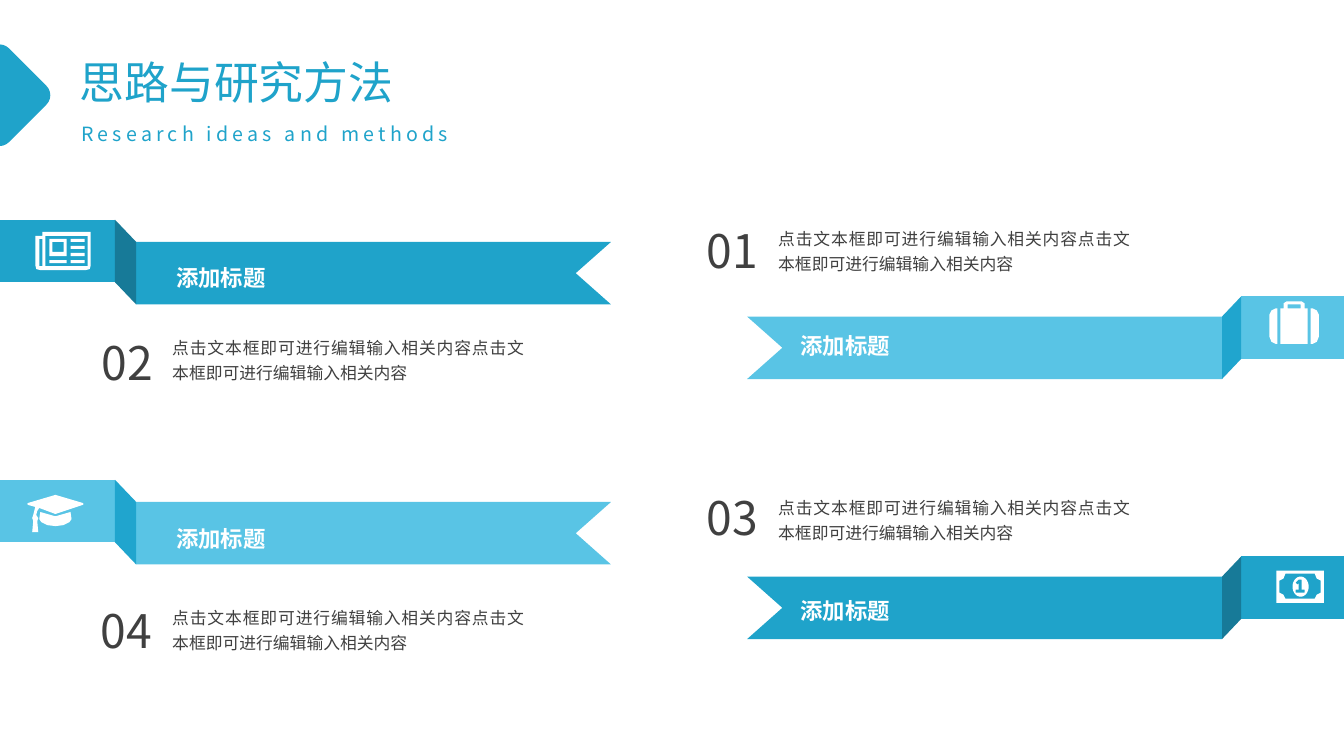
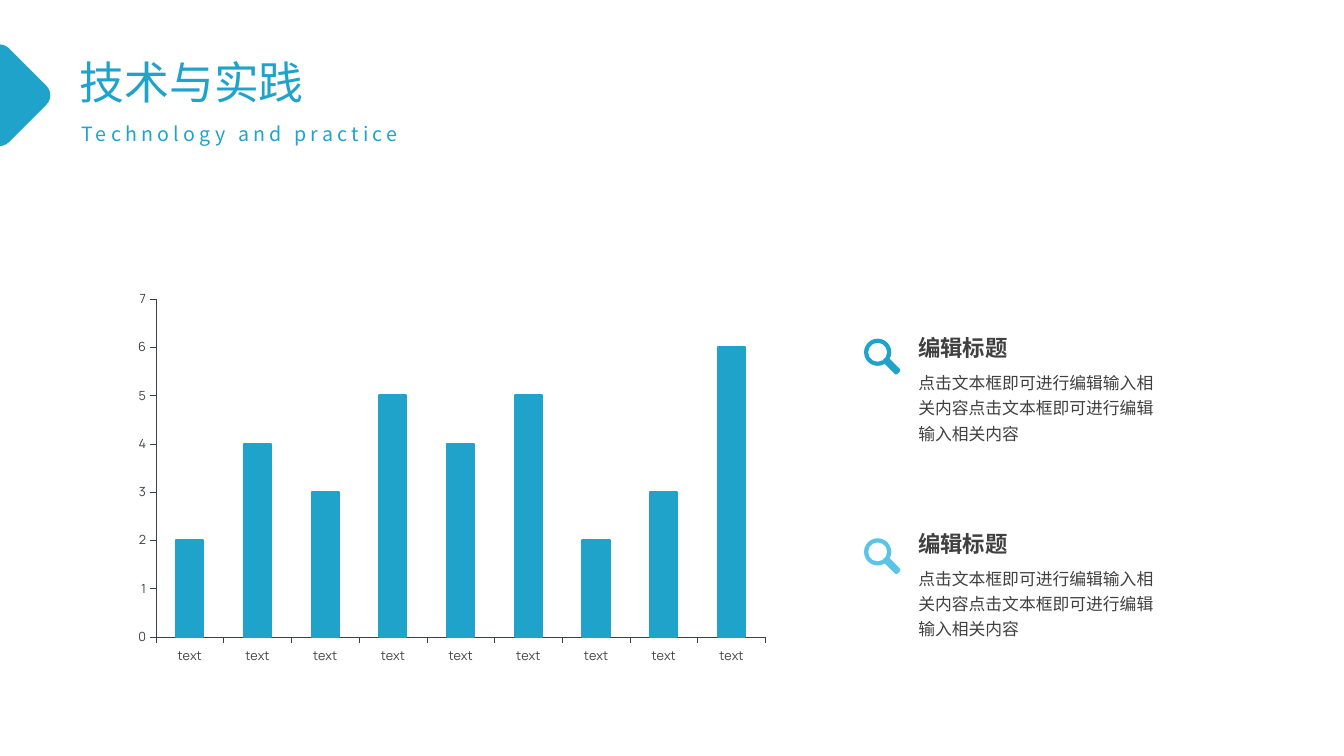
from math import cos, pi, sin

from lxml import etree
from pptx import Presentation
from pptx.chart.data import CategoryChartData
from pptx.dml.color import RGBColor
from pptx.enum.chart import XL_CHART_TYPE, XL_TICK_MARK
from pptx.enum.shapes import MSO_SHAPE
from pptx.enum.text import MSO_ANCHOR, MSO_AUTO_SIZE, PP_ALIGN
from pptx.oxml.ns import qn
from pptx.util import Inches, Pt

COLUMNS = XL_CHART_TYPE.COLUMN_CLUSTERED
TICK_OUT, TICK_NONE = XL_TICK_MARK.OUTSIDE, XL_TICK_MARK.NONE
RECT, ROUND_RECT, DONUT = MSO_SHAPE.RECTANGLE, MSO_SHAPE.ROUNDED_RECTANGLE, MSO_SHAPE.DONUT
TOP, NO_FIT = MSO_ANCHOR.TOP, MSO_AUTO_SIZE.NONE
LEFT, JUSTIFY = PP_ALIGN.LEFT, PP_ALIGN.JUSTIFY

FONT, CHART_FONT = "Noto Sans CJK SC", "Manrope"
BLUE, BLUE_SHADE = "1FA3CA", "177A98"
SKY, SKY_SHADE = "59C4E5", "20A5CE"
INK, AXIS, WHITE = "404040", "3A414B", "FFFFFF"

PAGE_W, PAGE_H = 13.33, 7.5
TITLE_ONLY = 5
TAB_H = 0.62
BANNER_W = 4.71
NOTCH = 0.35

BODY = "点击文本框即可进行编辑输入相关内容点击文本框即可进行编辑输入相关内容"
TITLE_STYLE = {"size": 32, "color": BLUE}
SUBTITLE_STYLE = {"size": 14, "color": BLUE, "line_spacing": 1.5, "tracking": 3}
NUMBER_STYLE = {"size": 33, "color": INK}
BODY_STYLE = {"size": 12, "color": INK, "line_spacing": 1.25}
RIBBON_BODY_STYLE = {**BODY_STYLE, "alignment": JUSTIFY}
RIBBON_STYLE = {"size": 16, "color": WHITE, "bold": True, "line_spacing": 1.25}
HEADING_STYLE = {"size": 16, "color": INK, "bold": True}


def rgb(color):
    return RGBColor.from_string(color)


def write(shape, text, style):
    """Fill a text frame with one paragraph in the given style."""
    frame = shape.text_frame
    frame.word_wrap = True
    frame.auto_size = NO_FIT
    frame.vertical_anchor = TOP
    para = frame.paragraphs[0]
    para.alignment = style.get("alignment", LEFT)
    para.line_spacing = style.get("line_spacing", 1.0)
    span = para.add_run()
    span.text = text
    values = {"name": FONT, "size": Pt(style["size"]), "bold": style.get("bold", False)}
    for name, value in values.items():
        setattr(span.font, name, value)
    span.font.color.rgb = rgb(style["color"])
    properties = span.font._element
    properties.set("spc", str(style.get("tracking", 0) * 100))
    etree.SubElement(properties, qn("a:ea")).set("typeface", FONT)


def add_text(slide, left, top, width, height, text, style):
    box = slide.shapes.add_textbox(Inches(left), Inches(top), Inches(width), Inches(height))
    write(box, text, style)


def paint(shape, color):
    shape.shadow.inherit = False
    shape.fill.solid()
    shape.fill.fore_color.rgb = rgb(color)
    shape.line.fill.background()


def add_preset(slide, kind, left, top, width, height, color):
    shape = slide.shapes.add_shape(
        kind, Inches(left), Inches(top), Inches(width), Inches(height))
    paint(shape, color)
    return shape


def add_outline(slide, left, top, contours, color):
    """Draw closed contours as one shape; a contour inside another is a hole."""
    builder = None
    for contour in contours:
        points = [(Inches(left + x), Inches(top + y)) for x, y in contour]
        if builder is None:
            builder = slide.shapes.build_freeform(*points[0])
        else:
            builder.move_to(*points[0])
        builder.add_line_segments(points[1:], close=True)
    paint(builder.convert_to_shape(), color)


def rectangle(left, top, right, bottom):
    return [(left, top), (right, top), (right, bottom), (left, bottom)]


def ellipse(center_x, center_y, radius_x, radius_y, steps=32):
    angles = [2 * pi * step / steps for step in range(steps)]
    return [(center_x + radius_x * cos(a), center_y + radius_y * sin(a)) for a in angles]


NEWSPAPER = [
    [(0.07, 0), (0.55, 0), (0.55, 0.33), (0.54, 0.37), (0.5, 0.38), (0.05, 0.38),
     (0.01, 0.37), (0, 0.33), (0, 0.04), (0.07, 0.04)],
    rectangle(0.04, 0.07, 0.07, 0.34),
    rectangle(0.1, 0.04, 0.52, 0.34),
    rectangle(0.14, 0.07, 0.31, 0.24),
    rectangle(0.17, 0.1, 0.28, 0.2),
    rectangle(0.14, 0.28, 0.31, 0.31),
] + [rectangle(0.35, y, 0.49, y + 0.03) for y in (0.07, 0.14, 0.21, 0.28)]

CASE_END = [(0.08, 0.07), (0.08, 0.42), (0.06, 0.42), (0.02, 0.4), (0, 0.35),
            (0, 0.13), (0.02, 0.09), (0.06, 0.07)]
SUITCASE = [
    CASE_END,
    [(0.49 - x, y) for x, y in CASE_END],
    [(0.11, 0.42), (0.11, 0.07), (0.14, 0.07), (0.14, 0.02), (0.17, 0), (0.32, 0),
     (0.35, 0.02), (0.35, 0.07), (0.38, 0.07), (0.38, 0.42)],
    rectangle(0.18, 0.03, 0.31, 0.07),
]

BANKNOTE = [
    rectangle(0, 0, 0.47, 0.32),
    [(0.09, 0.03), (0.38, 0.03), (0.4, 0.08), (0.44, 0.1), (0.44, 0.22), (0.4, 0.24),
     (0.38, 0.28), (0.09, 0.28), (0.07, 0.24), (0.03, 0.22), (0.03, 0.1), (0.07, 0.08)],
    ellipse(0.24, 0.16, 0.08, 0.1),
    [(0.28, 0.22), (0.28, 0.19), (0.25, 0.19), (0.25, 0.09), (0.22, 0.09), (0.19, 0.12),
     (0.21, 0.14), (0.22, 0.13), (0.22, 0.19), (0.19, 0.19), (0.19, 0.22)],
]

GRADUATE_CAP = [
    [(0.55, 0.1), (0.28, 0.19), (0.12, 0.13), (0.1, 0.16), (0.09, 0.2), (0.11, 0.23),
     (0.1, 0.26), (0.11, 0.37), (0.05, 0.37), (0.06, 0.26), (0.05, 0.23), (0.06, 0.2),
     (0.08, 0.12), (0.01, 0.1), (0, 0.09), (0.01, 0.08), (0.28, 0), (0.55, 0.08),
     (0.56, 0.09)],
    [(0.44, 0.24), (0.42, 0.27), (0.36, 0.3), (0.28, 0.31), (0.2, 0.3), (0.14, 0.27),
     (0.12, 0.24), (0.13, 0.17), (0.27, 0.21), (0.29, 0.21), (0.43, 0.17)],
]

# Sides: page edge, inward direction, tab width, fold width, drop, body left, heading left
LEFT_SIDE = (0, 1, 1.14, 0.21, 0.22, 1.61, 1.65)
RIGHT_SIDE = (PAGE_W, -1, 1.02, 0.19, 0.2, 7.62, 7.84)

# Steps: number, its left and top, side, ribbon top, colours, body top, heading top, icon
STEPS = [
    ("01", 6.91, 2.16, RIGHT_SIDE, 2.94, SKY, SKY_SHADE, 2.17, 3.18, (12.59, 2.99, SUITCASE)),
    ("02", 0.91, 3.27, LEFT_SIDE, 2.18, BLUE, BLUE_SHADE, 3.25, 2.5, (0.35, 2.3, NEWSPAPER)),
    ("03", 6.91, 4.81, RIGHT_SIDE, 5.52, BLUE, BLUE_SHADE, 4.84, 5.81, (12.66, 5.66, BANKNOTE)),
    ("04", 0.9, 5.93, LEFT_SIDE, 4.76, SKY, SKY_SHADE, 5.93, 5.09, (0.27, 4.91, GRADUATE_CAP)),
]


def add_page(deck, title, subtitle):
    slide = deck.slides.add_slide(deck.slide_layouts[TITLE_ONLY])
    add_preset(slide, ROUND_RECT, -0.4, 0.55, 0.79, 0.79, BLUE).rotation = 45
    heading = slide.shapes.title
    place = {"left": 0.69, "top": 0.49, "width": 3.75, "height": 0.64}
    for name, value in place.items():
        setattr(heading, name, Inches(value))
    write(heading, title, TITLE_STYLE)
    add_text(slide, 0.71, 1.04, 4.3, 0.41, subtitle, SUBTITLE_STYLE)
    return slide


def add_ribbon(slide, side, top, color, shade):
    """Draw tab, fold and notched banner inward from a page edge."""
    edge, direction, tab, fold, drop = side[:5]
    bend = tab + fold
    tip = bend + BANNER_W
    parts = [
        (rectangle(0, 0, tab, TAB_H), color),
        ([(bend, drop), (tip, drop), (tip - NOTCH, drop + TAB_H / 2),
          (tip, drop + TAB_H), (bend, drop + TAB_H)], color),
        ([(tab, 0), (bend, drop), (bend, drop + TAB_H), (tab, TAB_H)], shade),
    ]
    for points, fill in parts:
        add_outline(slide, edge, top, [[(direction * x, y) for x, y in points]], fill)


def add_step(slide, step):
    number, number_left, number_top, side, top, color, shade, body_top, heading_top, icon = step
    body_left, heading_left = side[5:]
    add_ribbon(slide, side, top, color, shade)
    add_outline(slide, *icon, WHITE)
    add_text(slide, number_left, number_top, 1.15, 0.66, number, NUMBER_STYLE)
    add_text(slide, body_left, body_top, 3.69, 0.58, BODY, RIBBON_BODY_STYLE)
    add_text(slide, heading_left, heading_top, 1.48, 0.41, "添加标题", RIBBON_STYLE)


def add_column_chart(slide, left, top, width, height):
    values = [2, 4, 3, 5, 4, 5, 2, 3, 6]
    data = CategoryChartData()
    data.categories = ["text"] * len(values)
    data.add_series("Series 1", values)
    chart = slide.shapes.add_chart(
        COLUMNS, Inches(left), Inches(top), Inches(width), Inches(height), data).chart
    chart.has_legend = False
    chart.has_title = False
    chart.font.name = CHART_FONT
    chart.font.size = Pt(9)
    chart.font.color.rgb = rgb(INK)
    for axis in (chart.category_axis, chart.value_axis):
        axis.has_major_gridlines = False
        axis.major_tick_mark = TICK_OUT
        axis.minor_tick_mark = TICK_NONE
        axis.format.line.color.rgb = rgb(AXIS)
        axis.format.line.width = Pt(0.25)
        axis.tick_labels.font.name = CHART_FONT
        axis.tick_labels.font.size = Pt(9)
        axis.tick_labels.font.color.rgb = rgb(INK)
    scale = {"minimum_scale": 0, "maximum_scale": 7, "major_unit": 1}
    for name, value in scale.items():
        setattr(chart.value_axis, name, value)
    plot = chart.plots[0]
    plot.gap_width = 150
    plot.vary_by_categories = False
    columns = plot.series[0].format
    columns.fill.solid()
    columns.fill.fore_color.rgb = rgb(BLUE)
    columns.line.color.rgb = rgb(BLUE)
    columns.line.width = Pt(1.5)


def add_magnifier(slide, left, top, color):
    lens = add_preset(slide, DONUT, left, top, 0.27, 0.27, color)
    lens.adjustments[0] = 0.15
    handle = add_preset(slide, ROUND_RECT, left + 0.19, top + 0.24, 0.18, 0.07, color)
    handle.adjustments[0] = 0.3
    handle.rotation = 45


def add_note(slide, left, top, icon_top, color):
    add_magnifier(slide, left, icon_top, color)
    add_text(slide, left + 0.44, top, 1.43, 0.38, "编辑标题", HEADING_STYLE)
    add_text(slide, left + 0.44, top + 0.33, 2.63, 0.84, BODY, BODY_STYLE)


def build_methods(deck):
    slide = add_page(deck, "思路与研究方法", "Research ideas and methods")
    for step in STEPS:
        add_step(slide, step)


def build_practice(deck):
    slide = add_page(deck, "技术与实践", "Technology and practice")
    add_column_chart(slide, 1.24, 2.8, 6.48, 3.87)
    add_note(slide, 8.57, 3.27, 3.36, BLUE)
    add_note(slide, 8.57, 5.21, 5.34, SKY)


def main():
    deck = Presentation()
    deck.slide_width = Inches(PAGE_W)
    deck.slide_height = Inches(PAGE_H)
    build_methods(deck)
    build_practice(deck)
    deck.save("out.pptx")


if __name__ == "__main__":
    main()
